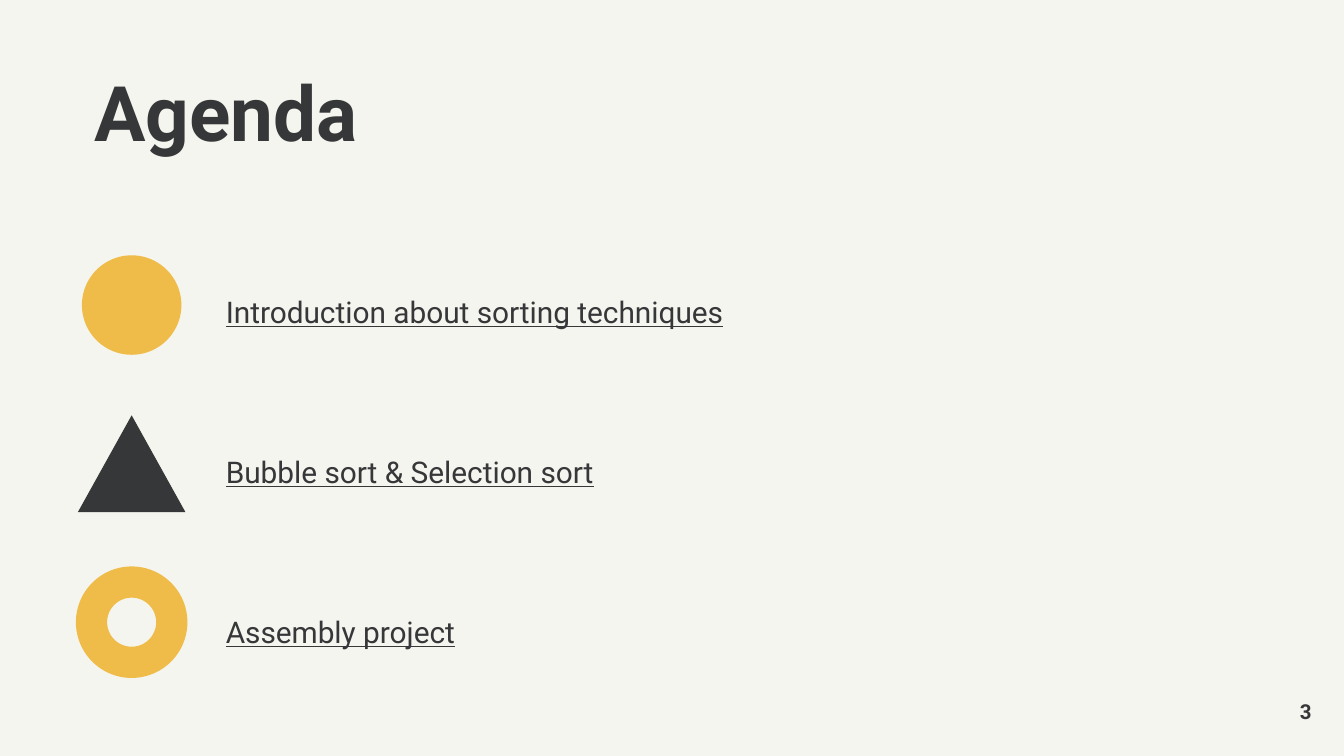
"""Builds the agenda slide: a title, three marked topics and a page number."""
from pptx import Presentation
from pptx import util as u
from pptx.dml.color import RGBColor
from pptx.enum import shapes, text

FONT, DARK, YELLOW, PAPER = "Roboto", "363739", "EFBC49", "F5F5EF"
TITLE, PAGE = " Agenda", "3"
MARK = shapes.MSO_SHAPE
TOPICS = [
    ("Introduction about sorting techniques", MARK.OVAL, 0.74, 0.74, YELLOW),
    ("Bubble sort & Selection sort", MARK.ISOSCELES_TRIANGLE, 0.8, 0.72, DARK),
    ("Assembly project", MARK.DONUT, 0.83, 0.83, YELLOW),
]
SLIDE_WIDTH = u.Inches(10)
SLIDE_HEIGHT = SLIDE_WIDTH * 9 // 16
MARK_CENTER, TOPIC_LEFT = 0.98, 1.68
TOPIC_WIDTH, TOPIC_HEIGHT = 4.29, 0.38
FIRST_ROW, MARK_PITCH, TOPIC_PITCH = 2.27, 1.18, 1.19
RING_THICKNESS = 0.28


def paint(fill, color):
    fill.solid()
    fill.fore_color.rgb = RGBColor.from_string(color)


def add_label(slide, words, box, size, bold=False, underline=False, spacing=1.0,
              align=text.PP_ALIGN.LEFT, anchor=text.MSO_ANCHOR.TOP):
    frame = slide.shapes.add_textbox(*map(u.Inches, box)).text_frame
    frame.margin_left = frame.margin_top = frame.margin_right = frame.margin_bottom = 0
    frame.word_wrap = True
    frame.vertical_anchor = anchor
    frame.text = words
    line = frame.paragraphs[0]
    line.alignment, line.line_spacing = align, spacing
    font = line.runs[0].font
    font.name, font.size = FONT, u.Pt(size)
    font.bold, font.underline = bold, underline
    font.color.rgb = RGBColor.from_string(DARK)


def add_mark(slide, kind, center_y, width, height, color):
    box = (MARK_CENTER - width / 2, center_y - height / 2, width, height)
    mark = slide.shapes.add_shape(kind, *map(u.Inches, box))
    mark.shadow.inherit = False
    paint(mark.fill, color)
    mark.line.fill.background()
    if kind == MARK.DONUT:
        mark.adjustments[0] = RING_THICKNESS


def main():
    deck = Presentation()
    deck.slide_width, deck.slide_height = SLIDE_WIDTH, SLIDE_HEIGHT
    slide = deck.slides.add_slide(deck.slide_layouts[6])
    paint(slide.background.fill, PAPER)

    add_label(slide, TITLE, (0.56, 0.56, 7.09, 0.79), 41, bold=True, spacing=0.9)
    for row, (topic, kind, width, height, color) in enumerate(TOPICS):
        add_mark(slide, kind, FIRST_ROW + row * MARK_PITCH, width, height, color)
        topic_top = FIRST_ROW + row * TOPIC_PITCH - TOPIC_HEIGHT / 2
        add_label(slide, topic, (TOPIC_LEFT, topic_top, TOPIC_WIDTH, TOPIC_HEIGHT), 16,
                  underline=True, spacing=1.4)
    add_label(slide, PAGE, (9.16, 5.19, 0.6, 0.2), 11, bold=True,
              align=text.PP_ALIGN.RIGHT, anchor=text.MSO_ANCHOR.MIDDLE)

    deck.save("out.pptx")


if __name__ == "__main__":
    main()
